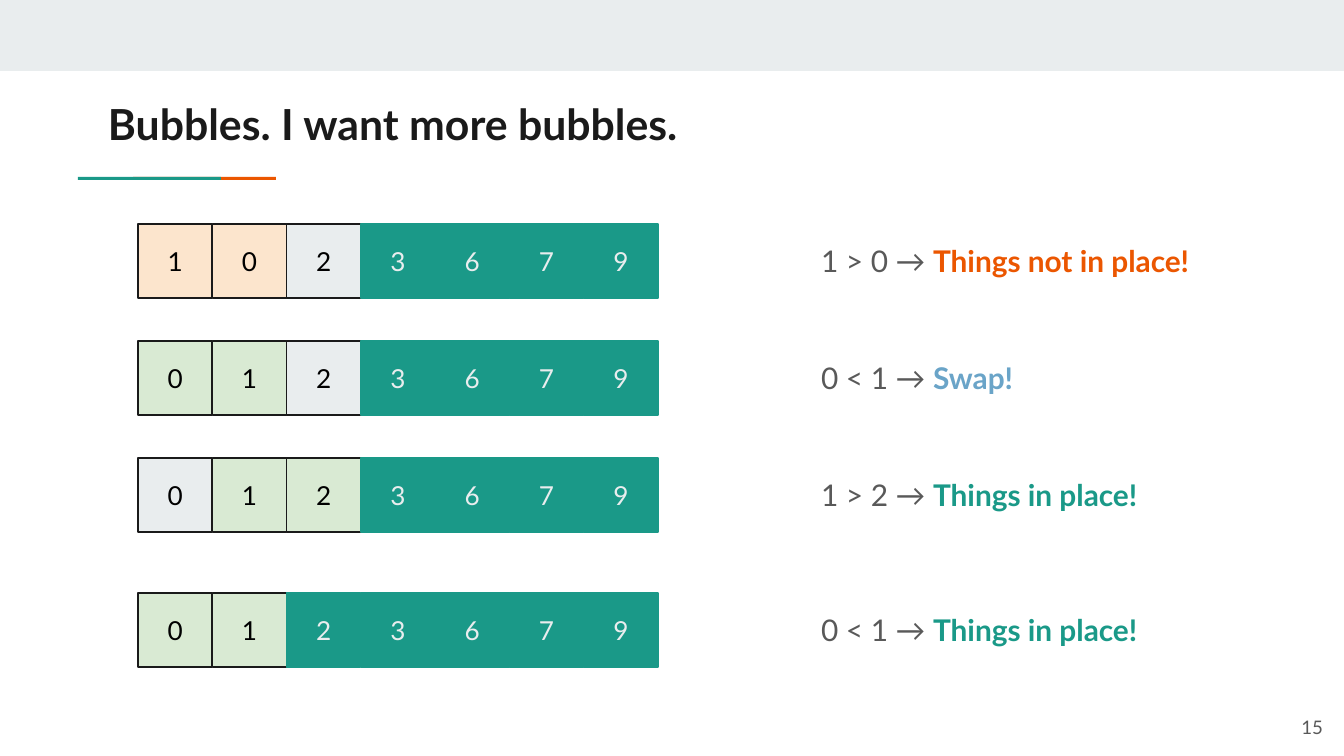
from pptx import Presentation, util as u
from pptx.dml.color import RGBColor
from pptx.enum import shapes, text

PX = 914400 / 134.4
INK, GREY, PALE = "1A1A1A", "595959", "E9EDEE"
TEAL, ORANGE, BLUE = "1A9988", "EB5600", "6AA4C8"
PEACH, MINT = "FCE5CD", "D9EAD3"
# Cell kind: (fill, line, font colour)
CELLS = {
    "wrong": (PEACH, INK, "000000"),
    "right": (MINT, INK, "000000"),
    "idle": (PALE, INK, "000000"),
    "sorted": (TEAL, TEAL, PALE),
}


def px(length):
    return u.Emu(round(length * PX))


def colour(value):
    return RGBColor.from_string(value)


def write(shape, runs, size, align=text.PP_ALIGN.LEFT,
          anchor=text.MSO_ANCHOR.TOP, side=13):
    """Fill a shape with one paragraph of (words, colour, bold) runs."""
    frame = shape.text_frame
    frame.word_wrap = True
    frame.vertical_anchor = anchor
    frame.margin_left = frame.margin_right = px(side)
    frame.margin_top = frame.margin_bottom = px(13)
    para = frame.paragraphs[0]
    para.alignment = align
    for words, tint, bold in runs:
        span = para.add_run()
        span.text = words
        span.font.name = "Lato"
        span.font.size = u.Pt(size)
        span.font.bold = bold
        span.font.color.rgb = colour(tint)


def add_box(page, left, top, width, height, fill, line=None):
    box = page.shapes.add_shape(shapes.MSO_SHAPE.RECTANGLE,
                                px(left), px(top), px(width), px(height))
    box.shadow.inherit = False
    box.fill.solid()
    box.fill.fore_color.rgb = colour(fill)
    if line:
        box.line.color.rgb = colour(line)
        box.line.width = u.Pt(0.75)
    else:
        box.line.fill.background()
    return box


def add_text(page, left, top, width, height, runs, size, **style):
    box = page.shapes.add_textbox(px(left), px(top), px(width), px(height))
    write(box, runs, size, **style)


def add_header(page, left, top, width, title):
    """Band across the top, title and two-colour rule below it."""
    add_box(page, left, top, width, 71, PALE)
    for start, tint in ((133, ORANGE), (78, TEAL)):
        add_box(page, left + start, top + 177, 143, 3, tint)
    add_text(page, left + 108, top + 85, 1130, 79,
             [(title, INK, True)], 22.9, side=0)


def add_array(page, left, top, width, height, numbers, kinds):
    pitch = width / len(numbers)
    for index, (number, kind) in enumerate(zip(numbers, kinds)):
        fill, line, ink = CELLS[kind]
        cell = add_box(page, left + index * pitch, top, pitch, height, fill, line)
        write(cell, [(str(number), ink, False)], 14,
              text.PP_ALIGN.CENTER, text.MSO_ANCHOR.MIDDLE)


def add_step(page, left, top, width, numbers, kinds, test, verdict, tint):
    """One pass of the sort: the array on the left, its comparison on the right."""
    kinds = kinds + ["sorted"] * (len(numbers) - len(kinds))
    add_array(page, left, top, 520, 74, numbers, kinds)
    add_text(page, left + 670, top + 6, width - 670, 63,
             [(test + " → ", GREY, False), (verdict, tint, True)], 16)


def add_page_number(page, left, top, width, height, number):
    add_text(page, left, top, width, height, [(number, GREY, False)], 10,
             align=text.PP_ALIGN.RIGHT, anchor=text.MSO_ANCHOR.MIDDLE)


def main():
    deck = Presentation()
    deck.slide_width, deck.slide_height = px(1344), px(756)
    page = deck.slides.add_slide(deck.slide_layouts[6])

    add_header(page, 0, 0, 1344, "Bubbles. I want more bubbles.")
    add_page_number(page, 1255, 698, 81, 58, "15")

    tail = [3, 6, 7, 9]
    steps = [
        (224, [1, 0, 2], ["wrong", "wrong", "idle"],
         "1 > 0", "Things not in place!", ORANGE),
        (341, [0, 1, 2], ["right", "right", "idle"], "0 < 1", "Swap!", BLUE),
        (458, [0, 1, 2], ["idle", "right", "right"],
         "1 > 2", "Things in place!", TEAL),
        (593, [0, 1, 2], ["right", "right"], "0 < 1", "Things in place!", TEAL),
    ]
    for top, head, kinds, test, verdict, tint in steps:
        add_step(page, 138, top, 1118, head + tail, kinds, test, verdict, tint)

    deck.save("out.pptx")


if __name__ == "__main__":
    main()
